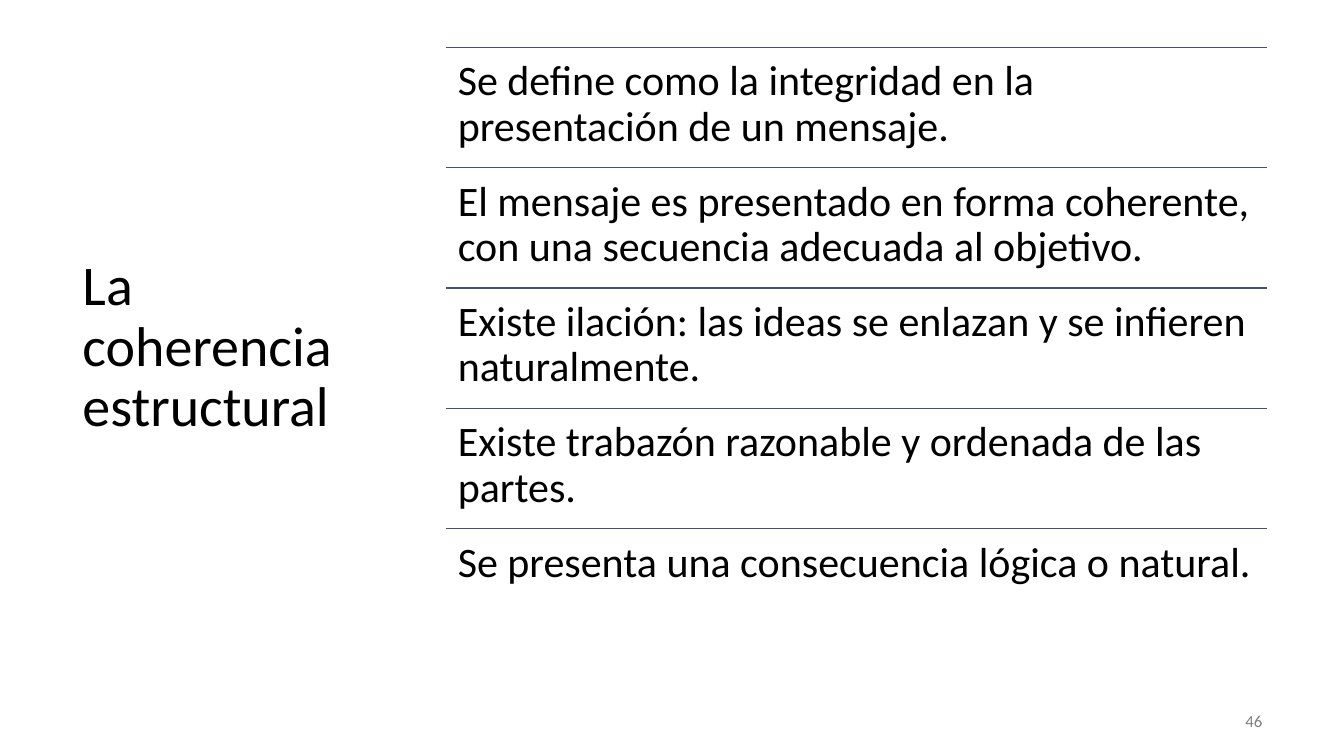
from dataclasses import dataclass

from lxml import etree
from pptx import Presentation
from pptx.dml.color import RGBColor
from pptx.enum.shapes import MSO_CONNECTOR
from pptx.enum.text import MSO_ANCHOR, PP_ALIGN
from pptx.oxml.ns import qn
from pptx.slide import Slide
from pptx.util import Inches, Pt

STRAIGHT = MSO_CONNECTOR.STRAIGHT
TOP, MIDDLE = MSO_ANCHOR.TOP, MSO_ANCHOR.MIDDLE
LEFT, RIGHT = PP_ALIGN.LEFT, PP_ALIGN.RIGHT

FONT = "Calibri"
COLORS = {"text": "000000", "rule": "44546A", "page": "808080"}

# Grid: one column of equal rows beside the title (inches)
GRID_LEFT, GRID_TOP = 4.42, 0.47
GRID_WIDTH, GRID_HEIGHT = 8.15, 5.97

STATEMENTS = [
    "Se define como la integridad en la presentación de un mensaje.",
    "El mensaje es presentado en forma coherente, con una secuencia adecuada al objetivo.",
    "Existe ilación: las ideas se enlazan y se infieren naturalmente.",
    "Existe trabazón razonable y ordenada de las partes.",
    "Se presenta una consecuencia lógica o natural.",
]
ROW_HEIGHT = GRID_HEIGHT / len(STATEMENTS)


@dataclass
class TextBlock:
    text: str
    left: float
    top: float
    width: float
    height: float
    size: float
    color: str = "text"
    anchor: MSO_ANCHOR = MIDDLE
    align: PP_ALIGN = LEFT
    line_spacing: float = 0.9
    margin_x: float = 0.1
    margin_y: float = 0.05


def add_text(slide: Slide, block: TextBlock) -> None:
    shape = slide.shapes.add_textbox(
        Inches(block.left), Inches(block.top), Inches(block.width), Inches(block.height)
    )
    frame = shape.text_frame
    frame.word_wrap = True
    frame.vertical_anchor = block.anchor
    frame.margin_left = frame.margin_right = Inches(block.margin_x)
    frame.margin_top = frame.margin_bottom = Inches(block.margin_y)
    paragraph = frame.paragraphs[0]
    paragraph.text = block.text
    paragraph.alignment = block.align
    paragraph.line_spacing = block.line_spacing
    paragraph.font.name = FONT
    paragraph.font.size = Pt(block.size)
    paragraph.font.color.rgb = RGBColor.from_string(COLORS[block.color])


def add_rule(slide: Slide, top: float) -> None:
    rule = slide.shapes.add_connector(
        STRAIGHT, Inches(GRID_LEFT), Inches(top), Inches(GRID_LEFT + GRID_WIDTH), Inches(top)
    )
    rule.line.color.rgb = RGBColor.from_string(COLORS["rule"])
    rule.line.width = Pt(1)
    # An empty effect list removes the theme shadow
    etree.SubElement(rule.line._get_or_add_ln().getparent(), qn("a:effectLst"))


def main() -> None:
    presentation = Presentation()
    presentation.slide_width = Inches(13.33)
    presentation.slide_height = Inches(7.5)
    slide = presentation.slides.add_slide(presentation.slide_layouts[6])

    # Title and page number
    add_text(slide, TextBlock("La coherencia estructural", 0.72, GRID_TOP, 3.1, GRID_HEIGHT, 40))
    add_text(slide, TextBlock("46", 9.62, 6.95, 3, 0.4, 12, "page", align=RIGHT, line_spacing=1.0))

    # Ruled statements
    for row, statement in enumerate(STATEMENTS):
        top = GRID_TOP + row * ROW_HEIGHT
        add_rule(slide, top)
        add_text(slide, TextBlock(statement, GRID_LEFT, top, GRID_WIDTH, ROW_HEIGHT, 30,
                                  anchor=TOP, margin_x=0.12, margin_y=0.12))

    presentation.save("out.pptx")


if __name__ == "__main__":
    main()
